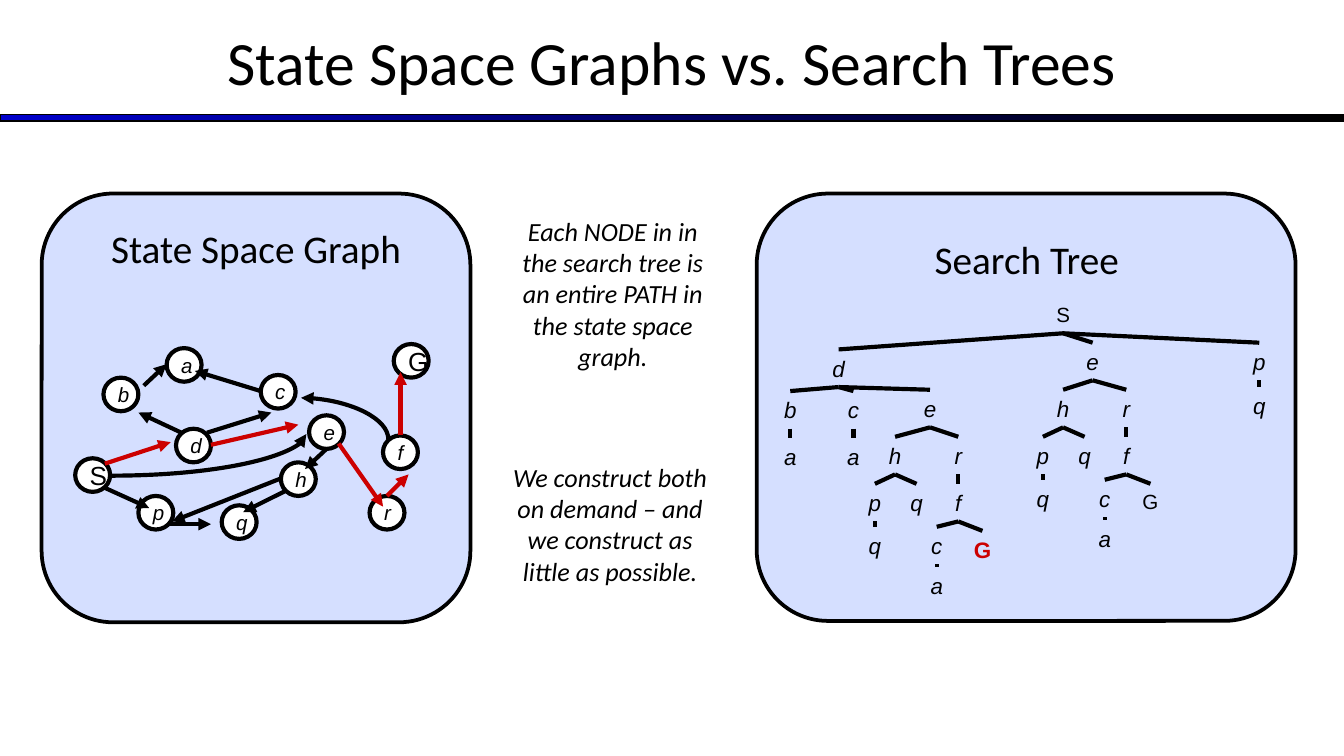
from dataclasses import dataclass

from lxml.etree import SubElement
from pptx import Presentation
from pptx.dml.color import RGBColor
from pptx.enum.shapes import MSO_CONNECTOR as Link, MSO_SHAPE as Shape
from pptx.enum.text import MSO_ANCHOR as Anchor, MSO_AUTO_SIZE as AutoSize, PP_ALIGN as Align
from pptx.oxml.ns import qn
from pptx.util import Inches, Pt


@dataclass(frozen=True)
class Theme:
    ink: str = "000000"
    route: str = "CC0000"
    panel: str = "D5DFFF"
    node: str = "FFFFFF"
    bar: str = "0000CC"
    heading_font: str = "Calibri"
    label_font: str = "Arial"
    title: int = 33
    heading: int = 21
    note: int = 14
    endpoint: int = 14
    tree_label: int = 12
    small_label: int = 11
    panel_line: float = 2
    edge: float = 2.25


THEME = Theme()

# Left and top of each circle in the state space graph
GRAPH_NODES = {
    "S": (0.56, 3.41), "G": (2.93, 2.56), "d": (1.31, 3.19), "b": (0.77, 2.81),
    "p": (1.03, 3.69), "q": (1.65, 3.76), "c": (1.94, 2.79), "e": (2.3, 3.09),
    "h": (2.09, 3.44), "a": (1.24, 2.59), "f": (2.85, 3.24), "r": (2.75, 3.69),
}
GRAPH_ARROWS = [
    (0.78, 3.63, 1.11, 3.78), (1.25, 3.9, 1.57, 3.9), (2.13, 3.65, 1.81, 3.81),
    (2.09, 3.56, 1.28, 3.88), (2.43, 3.34, 2.27, 3.49), (1.35, 3.22, 1.03, 3.07),
    (1.07, 2.87, 1.24, 2.71), (1.94, 2.91, 1.45, 2.76), (1.54, 3.22, 2.02, 3.07),
]
ROUTE_ARROWS = [
    (0.78, 3.45, 1.27, 3.29), (1.57, 3.31, 2.22, 3.16), (2.52, 3.3, 2.85, 3.77),
    (2.88, 3.69, 3.04, 3.53), (2.98, 3.24, 2.98, 2.77),
]


def rgb(color):
    return RGBColor.from_string(color)


def set_text(shape, text, size, font, italic=False, bold=False, color=THEME.ink):
    frame = shape.text_frame
    frame.word_wrap = True
    frame.margin_left = frame.margin_right = Inches(0.07)
    frame.margin_top = frame.margin_bottom = Inches(0.04)
    paragraph = frame.paragraphs[0]
    paragraph.alignment = Align.CENTER
    run = paragraph.add_run()
    run.text = text
    run.font.size, run.font.name = Pt(size), font
    run.font.italic, run.font.bold = italic, bold
    run.font.color.rgb = rgb(color)


def add_label(slide, box, text, size, font=THEME.heading_font, **style):
    label = slide.shapes.add_textbox(*map(Inches, box))
    set_text(label, text, size, font, **style)
    label.text_frame.auto_size = AutoSize.SHAPE_TO_FIT_TEXT
    return label


def add_outlined(slide, kind, box, width, fill=None):
    shape = slide.shapes.add_shape(kind, *map(Inches, box))
    shape.shadow.inherit = False
    if fill:
        shape.fill.solid()
        shape.fill.fore_color.rgb = rgb(fill)
    shape.line.color.rgb = rgb(THEME.ink)
    shape.line.width = Pt(width)
    return shape


def add_title(slide):
    bar = add_outlined(slide, Shape.RECTANGLE, (0, 0.85, 10, 0.05), 0.75)
    bar.fill.gradient()
    bar.fill.gradient_angle = 0
    for stop, position, color in zip(bar.fill.gradient_stops, (0, 1), (THEME.bar, THEME.ink)):
        stop.position = position
        stop.color.rgb = rgb(color)
    title = slide.shapes.add_textbox(*map(Inches, (0, -0.02, 10, 0.94)))
    set_text(title, "State Space Graphs vs. Search Trees", THEME.title, THEME.heading_font)
    title.text_frame.vertical_anchor = Anchor.MIDDLE


def add_edge(slide, ends, color=THEME.ink, kind=Link.STRAIGHT, arrow=False):
    edge = slide.shapes.add_connector(kind, *map(Inches, ends))
    edge.line.color.rgb = rgb(color)
    edge.line.width = Pt(THEME.edge)
    if arrow:
        SubElement(edge.line._get_or_add_ln(), qn("a:tailEnd"), type="triangle")
    SubElement(edge._element.spPr, qn("a:effectLst"))
    return edge


def add_curved_arrow(slide, ends, quarter_turns=0):
    """Draw a single-bend arrow; ends are given before the box is turned."""
    properties = add_edge(slide, ends, kind=Link.CURVE, arrow=True)._element.spPr
    properties.find(qn("a:prstGeom")).set("prst", "curvedConnector2")
    properties.find(qn("a:xfrm")).set("rot", str(quarter_turns * 5400000))


def add_graph(slide):
    for name, corner in GRAPH_NODES.items():
        node = add_outlined(slide, Shape.FLOWCHART_CONNECTOR, (*corner, 0.26, 0.25),
                            THEME.edge, THEME.node)
        is_endpoint = name in "SG"
        size = THEME.endpoint if is_endpoint else THEME.small_label
        set_text(node, name, size, THEME.label_font, italic=not is_endpoint)
        node.text_frame.vertical_anchor = Anchor.MIDDLE
    for color, arrows in ((THEME.ink, GRAPH_ARROWS), (THEME.route, ROUTE_ARROWS)):
        for ends in arrows:
            add_edge(slide, ends, color, arrow=True)
    add_curved_arrow(slide, (2.72, 2.79, 2.41, 3.44), quarter_turns=1)  # f to c
    add_curved_arrow(slide, (0.82, 3.54, 2.28, 3.23))  # S to e


def expand_e(x, top, h_x, goal):
    """Return the subtree under e, which occurs twice; h_x is the centre of h."""
    row = top + 0.35
    p_x, q_x, r_x, c_x, goal_x = (h_x + step for step in (-0.15, 0.16, 0.47, 0.31, 0.65))
    return ("e", x, top, [
        ("h", h_x, row, [
            ("p", p_x, row + 0.35, [("q", p_x, row + 0.67, [])]),
            ("q", q_x, row + 0.35, []),
        ]),
        ("r", r_x, row, [
            ("f", r_x, row + 0.35, [
                ("c", c_x, row + 0.67, [("a", c_x, row + 0.97, [])]),
                (goal, goal_x, row + 0.7, []),
            ]),
        ]),
    ])


def add_tree(slide, branch):
    """Draw a (label, centre, top, children) branch and return its top box."""
    name, x, top, children = branch
    styles = {
        "S": dict(size=THEME.small_label),
        "G": dict(size=THEME.small_label),
        "G*": dict(size=THEME.tree_label, bold=True, color=THEME.route),
    }
    style = styles.get(name, dict(size=THEME.tree_label, italic=True))
    width = {"S": 0.68, "G": 0.52, "G*": 0.52}.get(name, 0.26)
    height = 0.27 if name in ("S", "G") else 0.28
    parent = add_label(slide, (x - width / 2, top, width, height), name[0],
                       font=THEME.label_font, **style)
    for child_branch in children:
        child = add_tree(slide, child_branch)
        edge = add_edge(slide, (x, top + height, child_branch[1], child_branch[2]))
        edge.begin_connect(parent, 2)
        edge.end_connect(child, 0)
    return parent


def main():
    deck = Presentation()
    deck.slide_width = Inches(10)
    deck.slide_height = deck.slide_width * 9 // 16
    slide = deck.slides.add_slide(deck.slide_layouts[6])
    add_title(slide)
    for panel in ((5.63, 1.44, 4.01, 3.18), (0.31, 1.44, 3.19, 3.19)):
        add_outlined(slide, Shape.ROUNDED_RECTANGLE, panel, THEME.panel_line, THEME.panel)

    d_branch = ("d", 6.24, 2.6, [
        ("b", 5.88, 2.91, [("a", 5.88, 3.26, [])]),
        ("c", 6.35, 2.91, [("a", 6.35, 3.26, [])]),
        expand_e(6.92, 2.9, 6.66, "G*"),
    ])
    p_branch = ("p", 9.37, 2.55, [("q", 9.37, 2.88, [])])
    add_tree(slide, ("S", 7.91, 2.21, [d_branch, expand_e(8.13, 2.55, 7.91, "G"), p_branch]))
    add_graph(slide)

    add_label(slide, (3.69, 3.39, 1.7, 0.98),
              "We construct both on demand – and we construct as little as possible.",
              THEME.note, italic=True)
    add_label(slide, (3.75, 1.56, 1.62, 1.21),
              "Each NODE in in the search tree is an entire PATH in the state space graph.",
              THEME.note, italic=True)
    add_label(slide, (5.64, 1.71, 4, 0.43), "Search Tree", THEME.heading)
    add_label(slide, (0.5, 1.63, 2.81, 0.43), "State Space Graph", THEME.heading)
    deck.save("out.pptx")


if __name__ == "__main__":
    main()
